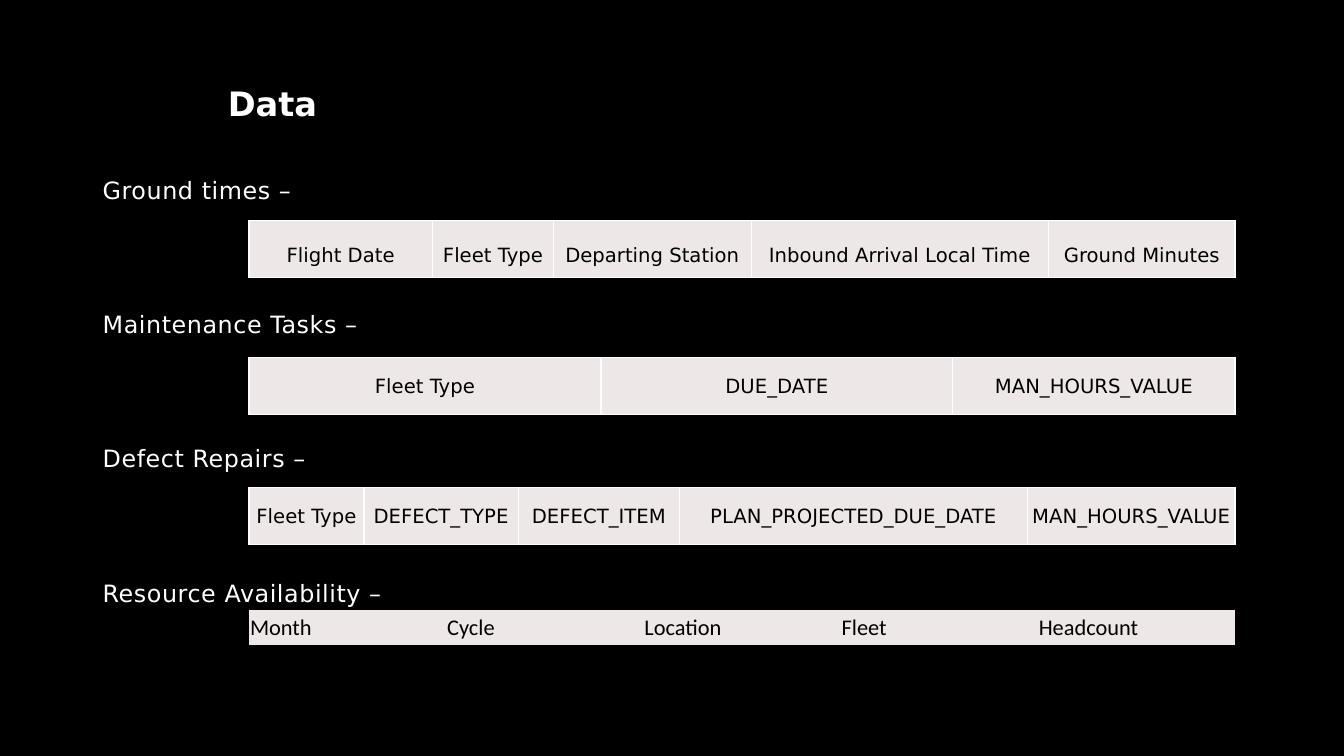
"""Build the slide that lists the fields of four maintenance planning data sets."""
from dataclasses import dataclass

from lxml.etree import SubElement
from pptx import Presentation
from pptx.dml.color import RGBColor
from pptx.enum.text import MSO_ANCHOR as Anchor, PP_ALIGN as Align
from pptx.oxml.ns import qn
from pptx.slide import Slide
from pptx.table import _Cell as Cell
from pptx.text.text import _Paragraph as Paragraph
from pptx.util import Inches, Pt


@dataclass(frozen=True)
class Theme:
    """Colours, fonts and type sizes of the slide."""
    background: str = "000000"
    light: str = "FFFFFF"
    dark: str = "000000"
    field: str = "EDE8E7"
    font: str = "DejaVu Sans"
    plain_font: str = "Calibri"
    title: int = 24
    heading: int = 17
    body: int = 14
    plain_body: int = 16


@dataclass(frozen=True)
class DataSet:
    """A named data set and the row of fields below its heading."""
    heading: str
    top: float
    fields: tuple[str, ...]
    widths: tuple[float, ...]
    height: float = 0.56
    line_spacing: float = 1.0
    plain: bool = False


THEME = Theme()
TABLE_LEFT, TABLE_WIDTH = 2.47, 9.78
DATA_SETS = (
    DataSet("Ground times –", 2.19,
            ("Flight Date", "Fleet Type", "Departing Station",
             "Inbound Arrival Local Time", "Ground Minutes"),
            (1.82, 1.2, 1.96, 2.95, 1.85), line_spacing=1.5),
    DataSet("Maintenance Tasks –", 3.55,
            ("Fleet Type", "DUE_DATE", "MAN_HOURS_VALUE"), (3.49, 3.49, 2.8)),
    DataSet("Defect Repairs –", 4.84,
            ("Fleet Type", "DEFECT_TYPE", "DEFECT_ITEM",
             "PLAN_PROJECTED_DUE_DATE", "MAN_HOURS_VALUE"),
            (1.14, 1.53, 1.6, 3.45, 2.06)),
    DataSet("Resource Availability –", 6.05,
            ("Month", "Cycle", "Location", "Fleet", "Headcount"),
            (TABLE_WIDTH / 5,) * 5, height=0.35, plain=True),
)


def add_text(paragraph: Paragraph, text: str, size: int, color: str,
             font: str = THEME.font, bold: bool = False, tracking: int = 0) -> None:
    """Add one styled run, with tracking in hundredths of a point."""
    run = paragraph.add_run()
    run.text = text
    run.font.name = font
    run.font.size = Pt(size)
    run.font.bold = bold
    run.font.color.rgb = RGBColor.from_string(color)
    if tracking:
        run._r.get_or_add_rPr().set("spc", str(tracking))


def set_borders(cell: Cell, visible: bool) -> None:
    """Give all four cell sides a thin light line or none."""
    properties = cell._tc.get_or_add_tcPr()
    for side in ("a:lnL", "a:lnR", "a:lnT", "a:lnB"):
        line = SubElement(properties, qn(side), w=str(Pt(1)))
        if visible:
            fill = SubElement(line, qn("a:solidFill"))
            SubElement(fill, qn("a:srgbClr"), val=THEME.light)
        else:
            SubElement(line, qn("a:noFill"))


def add_title(slide: Slide) -> None:
    """Add the slide title."""
    title = slide.shapes.add_textbox(Inches(2.26), Inches(0.83), Inches(10.49), Inches(0.52))
    frame = title.text_frame
    frame.word_wrap = True
    frame.margin_left = frame.margin_right = frame.margin_top = frame.margin_bottom = 0
    frame.paragraphs[0].line_spacing = Pt(28)
    add_text(frame.paragraphs[0], "Data", THEME.title, THEME.light, bold=True)


def add_headings(slide: Slide) -> None:
    """Add the evenly spaced data set headings."""
    headings = slide.shapes.add_textbox(Inches(0.92), Inches(1.64), Inches(11.5), Inches(4.76))
    frame = headings.text_frame
    frame.word_wrap = True
    for index, data_set in enumerate(DATA_SETS):
        paragraph = frame.add_paragraph() if index else frame.paragraphs[0]
        paragraph.line_spacing = Pt(24)
        if index:
            paragraph.space_before = Pt(72)
        add_text(paragraph, data_set.heading, THEME.heading, THEME.light, tracking=40)


def add_fields(slide: Slide, data_set: DataSet) -> None:
    """Add the one-row table of a data set's fields."""
    table = slide.shapes.add_table(
        1, len(data_set.fields), Inches(TABLE_LEFT), Inches(data_set.top),
        Inches(TABLE_WIDTH), Inches(data_set.height)).table
    table.first_row = table.horz_banding = False
    size = THEME.plain_body if data_set.plain else THEME.body
    font = THEME.plain_font if data_set.plain else THEME.font
    for index, (field, width) in enumerate(zip(data_set.fields, data_set.widths)):
        table.columns[index].width = Inches(width)
        cell = table.cell(0, index)
        set_borders(cell, visible=not data_set.plain)
        cell.fill.solid()
        cell.fill.fore_color.rgb = RGBColor.from_string(THEME.field)
        cell.vertical_anchor = Anchor.MIDDLE
        cell.margin_left = cell.margin_right = cell.margin_top = Inches(0.01)
        cell.margin_bottom = 0
        paragraph = cell.text_frame.paragraphs[0]
        paragraph.alignment = Align.LEFT if data_set.plain else Align.CENTER
        paragraph.line_spacing = data_set.line_spacing
        add_text(paragraph, field, size, THEME.dark, font)


def main() -> None:
    """Build and save the presentation."""
    presentation = Presentation()
    presentation.slide_width, presentation.slide_height = Inches(13.33), Inches(7.5)
    slide = presentation.slides.add_slide(presentation.slide_layouts[6])
    slide.background.fill.solid()
    slide.background.fill.fore_color.rgb = RGBColor.from_string(THEME.background)
    add_title(slide)
    add_headings(slide)
    for data_set in DATA_SETS:
        add_fields(slide, data_set)
    presentation.save("out.pptx")


if __name__ == "__main__":
    main()
